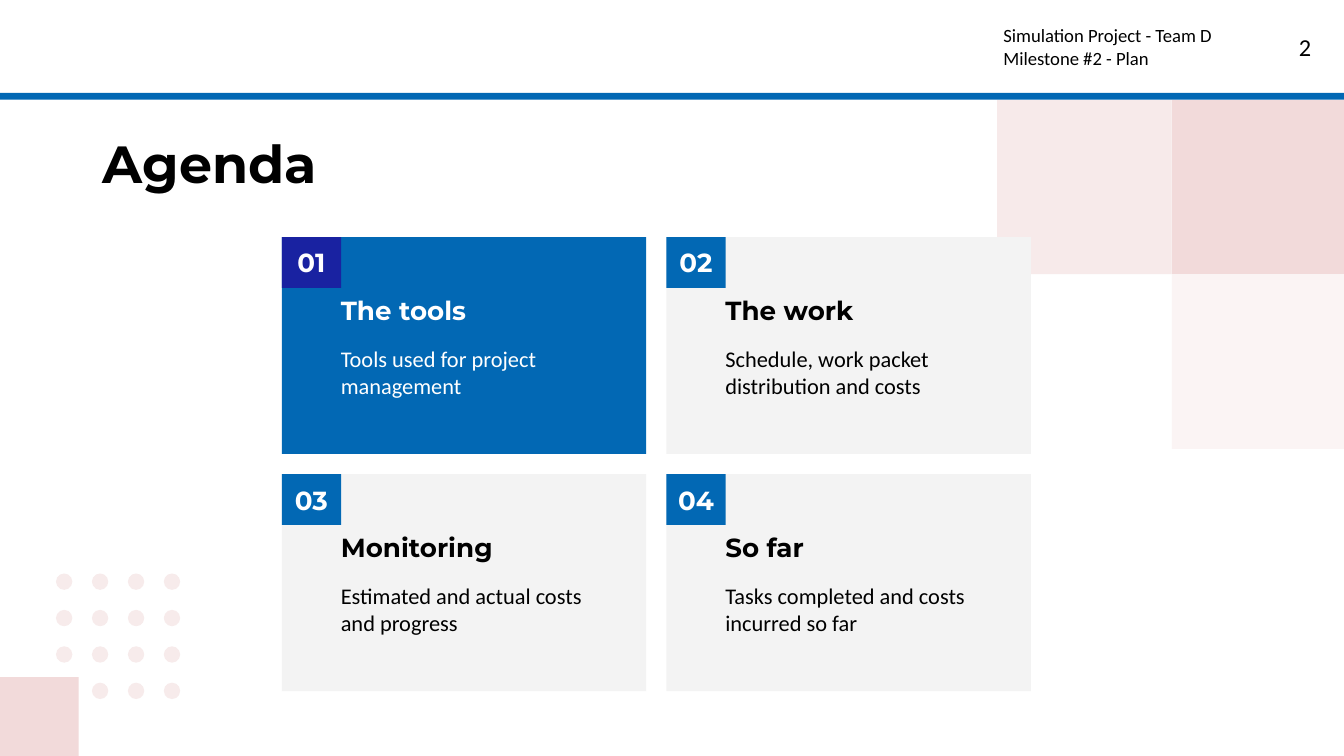
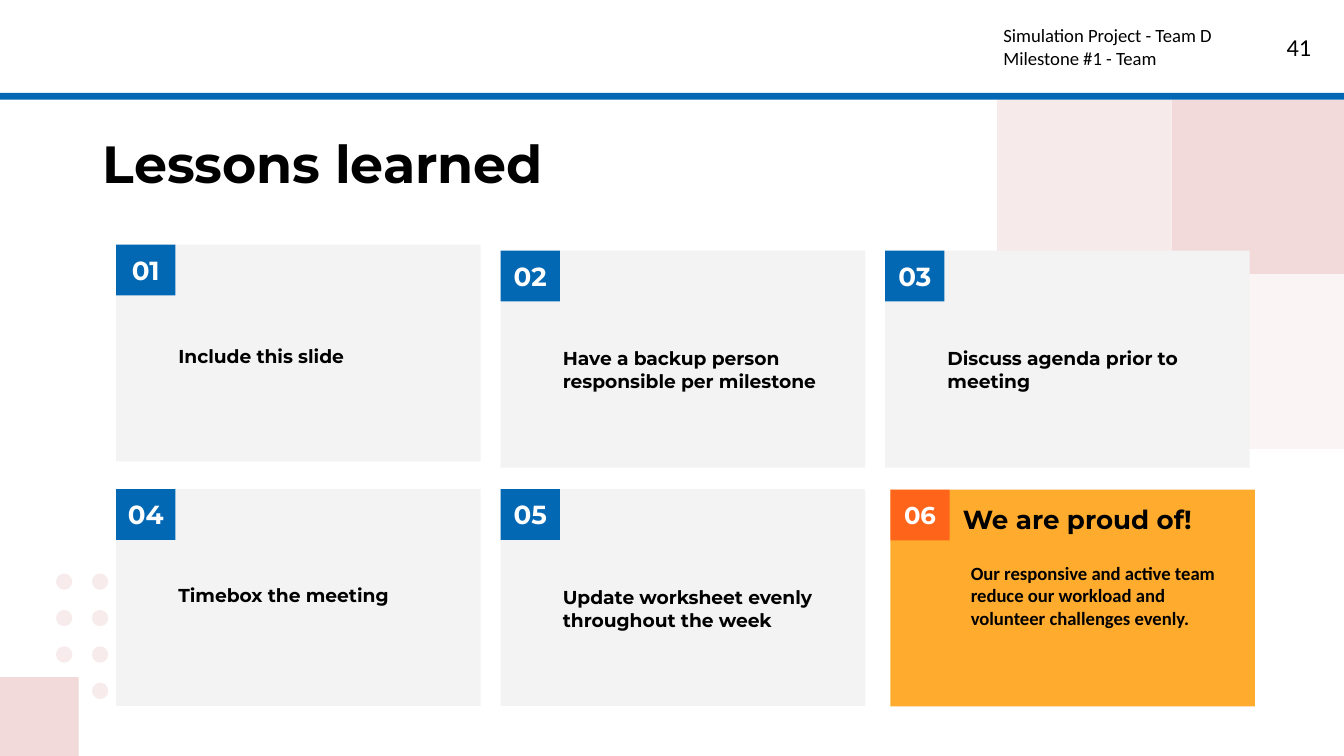
from lxml import etree
from pptx import Presentation, util as u
from pptx.dml.color import RGBColor
from pptx.enum import shapes, text
from pptx.oxml.ns import qn

Pt = u.Pt
RECT, OVAL = shapes.MSO_SHAPE.RECTANGLE, shapes.MSO_SHAPE.OVAL
LEFT, CENTER, RIGHT = text.PP_ALIGN.LEFT, text.PP_ALIGN.CENTER, text.PP_ALIGN.RIGHT

THEME = {
    "blue": "0268B4", "navy": "1922A1", "orange": "FF9900", "red": "FF0000",
    "gray": "F3F3F3", "rose": "F2DADA", "dot": "F7EBEB",
    "white": "FFFFFF", "black": "000000",
    "head": "Montserrat", "body": "Calibri",
    "title": 28, "heading": 14, "page": 13, "copy": 12, "small": 10,
}

CARD_W, CARD_H = 195.25, 116.25
PITCH_X = 206
BADGE_W, BADGE_H = 31.75, 27.25
INSET = 7.2


def box(s, x, y, w, h, color, alpha=None, kind=RECT):
    """Add a plain filled shape without outline; alpha is in percent."""
    sp = s.shapes.add_shape(kind, Pt(x), Pt(y), Pt(w), Pt(h))
    sp.shadow.inherit = False
    sp.line.fill.background()
    sp.fill.solid()
    sp.fill.fore_color.rgb = RGBColor.from_string(THEME[color])
    if alpha is not None:
        clr = sp._element.spPr.find(qn("a:solidFill"))[0]
        etree.SubElement(clr, qn("a:alpha")).set("val", str(alpha * 1000))
    return sp


def write(sp, content, size, font="head", color="black", bold=True,
          align=LEFT, anchor=text.MSO_ANCHOR.TOP, side=INSET, after=0):
    """Fill a shape or text box with text in one style."""
    tf = sp.text_frame
    tf.word_wrap = True
    tf.vertical_anchor = anchor
    tf.margin_left = tf.margin_right = Pt(side)
    tf.margin_top = tf.margin_bottom = Pt(INSET)
    tf.text = content
    for p in tf.paragraphs:
        p.alignment = align
        p.space_after = Pt(after)
        for r in p.runs:
            r.font.name = THEME[font]
            r.font.size = Pt(THEME[size])
            r.font.bold = bold
            r.font.color.rgb = RGBColor.from_string(THEME[color])
    return tf


prs = Presentation()
prs.slide_width, prs.slide_height = Pt(720), Pt(405)

# Shared frame: dots, squares, header band, title, page number
pages = []
for title, milestone, number, dot_cols in [
    ("Agenda", "Milestone #2 - Plan", "2", 4),
    ("Lessons learned", "Milestone #1 - Team", "41", 2),
]:
    s = prs.slides.add_slide(prs.slide_layouts[6])
    pages.append(s)
    for row in range(4):
        for col in range(dot_cols):
            if (row, col) != (3, 0):
                box(s, 30 + 19.25 * col, 307.25 + 19.5 * row, 8.75, 8.75, "dot", kind=OVAL)
    box(s, 0, 362.75, 42.25, 42.25, "rose")
    for x, y, alpha in [(627.75, 53.5, None), (627.75, 147, 28), (534.25, 53.5, 55)]:
        box(s, x, y, 93.5, 93.5, "rose", alpha)
    box(s, 0, 0, 720, 49.75, "white")
    box(s, 0, 49.75, 720, 3.75, "blue")

    tb = s.shapes.add_textbox(Pt(48), Pt(63.25), Pt(607.5), Pt(45.25))
    write(tb, title, "title")
    tb = s.shapes.add_textbox(Pt(666.5), Pt(10), Pt(43), Pt(31))
    write(tb, number, "page", "body", bold=False, align=RIGHT)
    tb = s.shapes.add_textbox(Pt(530.5), Pt(5.75), Pt(150), Pt(37.5))
    write(tb, "Simulation Project - Team D\n" + milestone, "small", "body", bold=False)

agenda, lessons = pages
badge = {"color": "white", "align": CENTER, "anchor": text.MSO_ANCHOR.MIDDLE}

# Agenda: two by two cards, the first one highlighted
topics = [
    ("The tools", "Tools used for project management"),
    ("The work", "Schedule, work packet distribution and costs"),
    ("Monitoring", "Estimated and actual costs and progress"),
    ("So far", "Tasks completed and costs incurred so far"),
]
for i, (heading, copy) in enumerate(topics):
    x, y = 151 + PITCH_X * (i % 2), 127 + 127 * (i // 2)
    fill, tag, ink = ("blue", "navy", "white") if i == 0 else ("gray", "blue", "black")
    box(agenda, x, y, CARD_W, CARD_H, fill)
    write(box(agenda, x, y, BADGE_W, BADGE_H, tag), f"{i + 1:02}", "heading", side=0, **badge)
    tb = agenda.shapes.add_textbox(Pt(x + 24.5), Pt(y + 23.5), Pt(146), Pt(27.25))
    write(tb, heading, "heading", color=ink, after=8)
    tb = agenda.shapes.add_textbox(Pt(x + 24.5), Pt(y + 50.75), Pt(146), Pt(41))
    write(tb, copy, "copy", "body", ink, bold=False, after=8)

# Lessons: five gray cards, the first one slightly higher
points = [
    "Include this slide",
    "Have a backup person responsible per milestone",
    "Discuss agenda prior to meeting",
    "Timebox the meeting",
    "Update worksheet evenly throughout the week",
]
for i, point in enumerate(points):
    row, col = divmod(i, 3)
    x, y = 62.25 + PITCH_X * col, 134.25 + 127.75 * row
    if i == 0:
        y = 131
    box(lessons, x, y, CARD_W, CARD_H, "gray")
    write(box(lessons, x, y, BADGE_W, BADGE_H, "blue"), f"{i + 1:02}", "heading", side=0, **badge)
    tb = lessons.shapes.add_textbox(Pt(x + 26.25), Pt(178.75 + 128 * row), Pt(152), Pt(41))
    write(tb, point, "small", after=8)

# Lessons: orange closing card
x, y = 477, 262.25
box(lessons, x, y, CARD_W, CARD_H, "orange", 82)
tb = lessons.shapes.add_textbox(Pt(x + BADGE_W), Pt(y), Pt(155.5), Pt(BADGE_H))
write(tb, "We are proud of!", "heading", after=8)
tb = lessons.shapes.add_textbox(Pt(x), Pt(y + 31.5), Pt(CARD_W), Pt(84.25))
tf = write(tb, "Our responsive and active team reduce our workload and volunteer challenges evenly.",
           "small", "body")
pPr = tf.paragraphs[0]._p.get_or_add_pPr()
pPr.set("marL", str(Pt(36)))
pPr.set("indent", "0")
write(box(lessons, x, y, BADGE_W, BADGE_H, "red", 41), "06", "page", **badge)

prs.save("out.pptx")
